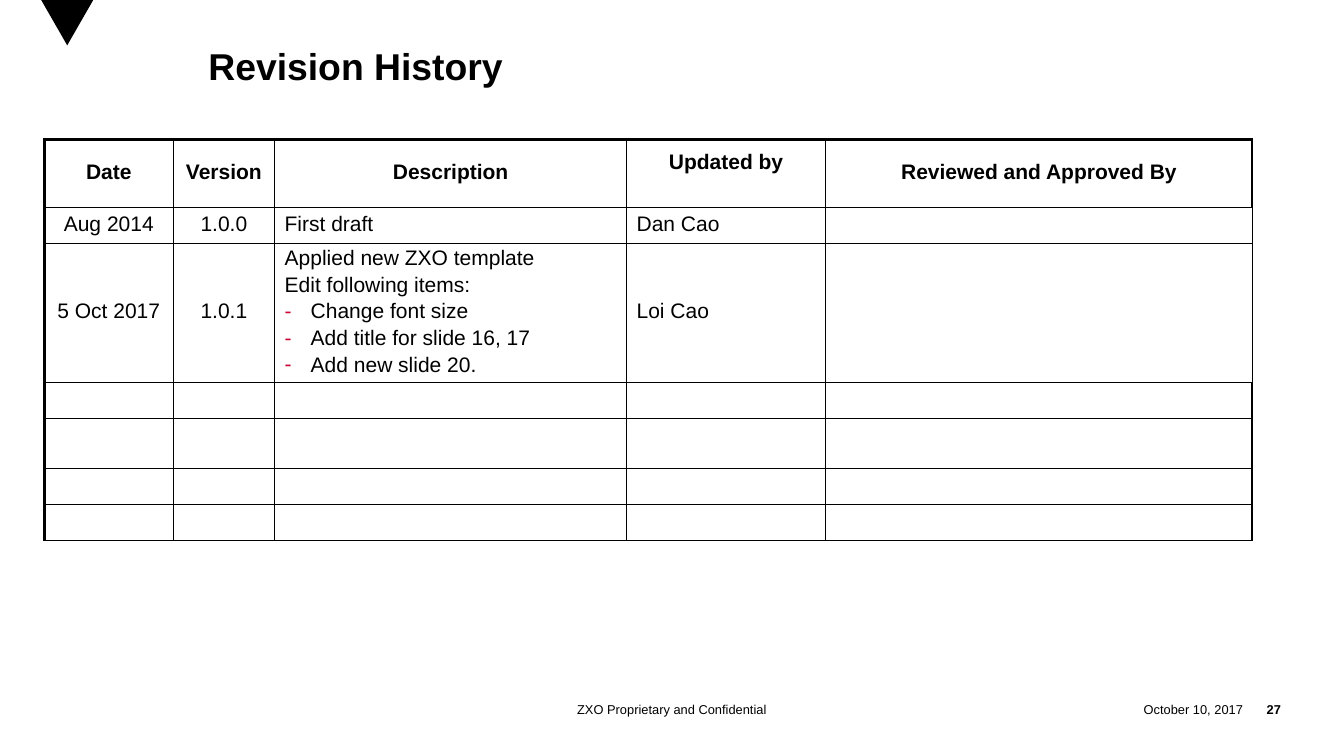
from lxml import etree
from pptx import Presentation, util as u
from pptx.dml.color import RGBColor
from pptx.enum import text
from pptx.oxml import parse_xml
from pptx.oxml.ns import nsdecls

COLORS = {"ink": "000000", "bullet": "CC0033"}
FONT = "Arial"
LEFT, CENTER, RIGHT = text.PP_ALIGN.LEFT, text.PP_ALIGN.CENTER, text.PP_ALIGN.RIGHT

HEADINGS = ["Date", "Version", "Description", "Updated by", "Reviewed and Approved By"]
COLUMN_WIDTHS = [1.53, 1.21, 4.19, 2.37, 5.08]
ROW_HEIGHTS = [0.81, 0.43, 1.65, 0.43, 0.6, 0.43, 0.43]
REVISIONS = [
    ["Aug 2014", "1.0.0", "First draft", "Dan Cao", ""],
    ["5 Oct 2017", "1.0.1",
     "Applied new ZXO template\nEdit following items:\n- Change font size\n"
     "- Add title for slide 16, 17\n- Add new slide 20.", "Loi Cao", ""],
]
BLANK_ROWS = len(ROW_HEIGHTS) - 1 - len(REVISIONS)
THICK, THIN = 2.25, 1


def style(paragraph, size, align=LEFT, bold=False):
    paragraph.alignment = align
    font = paragraph.font
    font.name, font.size, font.bold = FONT, u.Pt(size), bold
    font.color.rgb = RGBColor.from_string(COLORS["ink"])


def clear_margins(frame):
    frame.margin_left = frame.margin_top = frame.margin_right = frame.margin_bottom = 0
    frame.word_wrap = True


def add_dash(paragraph):
    props = paragraph._p.get_or_add_pPr()
    props.set("marL", str(u.Inches(0.31)))
    props.set("indent", str(-u.Inches(0.31)))
    for bullet in (
        f'<a:buClr {nsdecls("a")}><a:srgbClr val="{COLORS["bullet"]}"/></a:buClr>',
        f'<a:buFont {nsdecls("a")} typeface="{FONT}"/>',
        f'<a:buChar {nsdecls("a")} char="-"/>',
    ):
        props.append(parse_xml(bullet))


def set_borders(cell, **widths):
    props = cell._tc.get_or_add_tcPr()
    for side in "LRTB":
        props.append(parse_xml(
            f'<a:ln{side} {nsdecls("a")} w="{u.Pt(widths.get(side, THIN))}"><a:solidFill>'
            f'<a:srgbClr val="{COLORS["ink"]}"/></a:solidFill></a:ln{side}>'))


def fill_cell(cell, content, align, bold):
    cell.vertical_anchor = text.MSO_ANCHOR.MIDDLE
    cell.margin_left = cell.margin_right = u.Inches(0.12)
    cell.margin_top = cell.margin_bottom = u.Inches(0.06)
    frame = cell.text_frame
    for i, line in enumerate(content.split("\n")):
        paragraph = frame.paragraphs[0] if i == 0 else frame.add_paragraph()
        paragraph.line_spacing = 0.85
        paragraph.space_before = u.Pt(5.75)
        if line.startswith("- "):
            add_dash(paragraph)
        paragraph.text = line.removeprefix("- ")
        style(paragraph, 18, align, bold)


def add_marker(slide, left, top, width, height):
    outline = slide.shapes.build_freeform(u.Inches(left), u.Inches(top))
    outline.add_line_segments([
        (u.Inches(left + width / 2), u.Inches(top + height)),
        (u.Inches(left + width), u.Inches(top))])
    marker = outline.convert_to_shape()
    marker.shadow.inherit = False
    marker.fill.solid()
    marker.fill.fore_color.rgb = RGBColor.from_string(COLORS["ink"])
    marker.line.fill.background()


def add_title(slide, left, top, width, height):
    title = slide.shapes.title
    title.left, title.top = u.Inches(left), u.Inches(top)
    title.width, title.height = u.Inches(width), u.Inches(height)
    frame = title.text_frame
    clear_margins(frame)
    frame.auto_size = text.MSO_AUTO_SIZE.NONE
    frame.vertical_anchor = text.MSO_ANCHOR.TOP
    frame.text = "Revision History"
    frame.paragraphs[0].line_spacing = 0.85
    style(frame.paragraphs[0], 32, bold=True)


def add_history(slide, left, top):
    rows = [HEADINGS, *REVISIONS, *[[""] * len(HEADINGS)] * BLANK_ROWS]
    history = slide.shapes.add_table(
        len(rows), len(HEADINGS), u.Inches(left), u.Inches(top),
        u.Inches(sum(COLUMN_WIDTHS)), u.Inches(sum(ROW_HEIGHTS))).table
    history.first_row = history.horz_banding = False
    for column, width in zip(history.columns, COLUMN_WIDTHS):
        column.width = u.Inches(width)
    for r, row in enumerate(rows):
        history.rows[r].height = u.Inches(ROW_HEIGHTS[r])
        for c, content in enumerate(row):
            cell = history.cell(r, c)
            header = r == 0
            fill_cell(cell, content, CENTER if header or c < 2 else LEFT, header)
            # The right edge is thin beside the filled-in revisions
            revision = 0 < r <= len(REVISIONS)
            last = c == len(row) - 1
            set_borders(cell, L=THIN if c else THICK, T=THICK if header else THIN,
                        R=THICK if last and not revision else THIN)
            cell.fill.background()
    # "Updated by" sits a little above the other headings
    history.cell(0, HEADINGS.index("Updated by")).margin_bottom = u.Inches(0.3)


def add_footer(slide, top, height):
    for words, left, width, align, bold in (
        ("ZXO Proprietary and Confidential", 5.25, 5.5, CENTER, False),
        ("October 10, 2017", 13.01, 1.79, RIGHT, False),
        ("27", 14.8, 0.45, RIGHT, True),
    ):
        note = slide.shapes.add_textbox(
            u.Inches(left), u.Inches(top), u.Inches(width), u.Inches(height))
        frame = note.text_frame
        clear_margins(frame)
        frame.vertical_anchor = text.MSO_ANCHOR.MIDDLE
        frame.text = words
        style(frame.paragraphs[0], 11, align, bold)


def main():
    deck = Presentation()
    deck.slide_width, deck.slide_height = u.Inches(16), u.Inches(9)
    slide = deck.slides.add_slide(deck.slide_layouts[5])
    add_marker(slide, 0.49, 0, 0.62, 0.54)
    add_title(slide, 2.48, 0.6, 11.04, 1.03)
    add_history(slide, 0.53, 1.66)
    add_footer(slide, 8.29, 0.3)
    deck.save("out.pptx")


if __name__ == "__main__":
    main()
